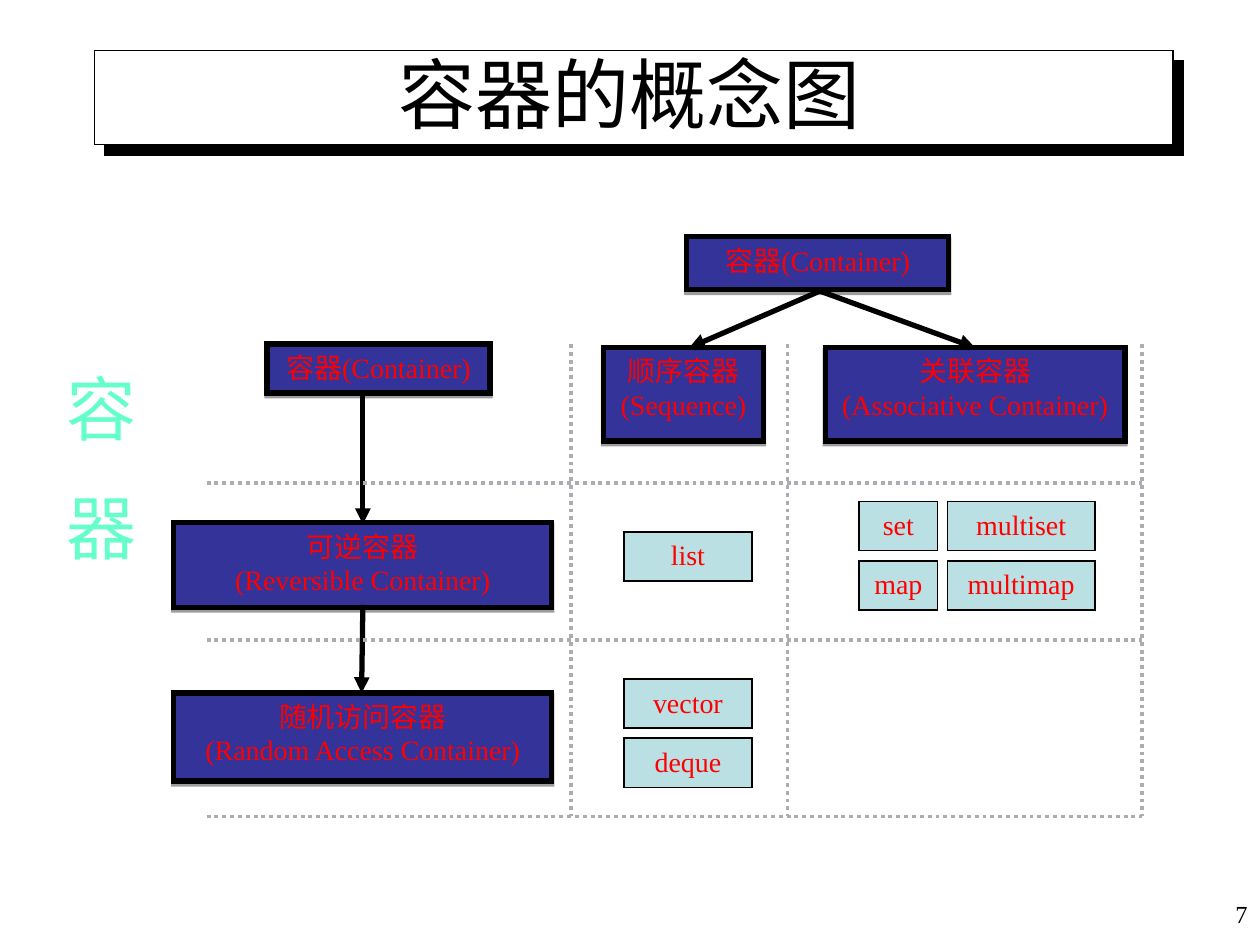
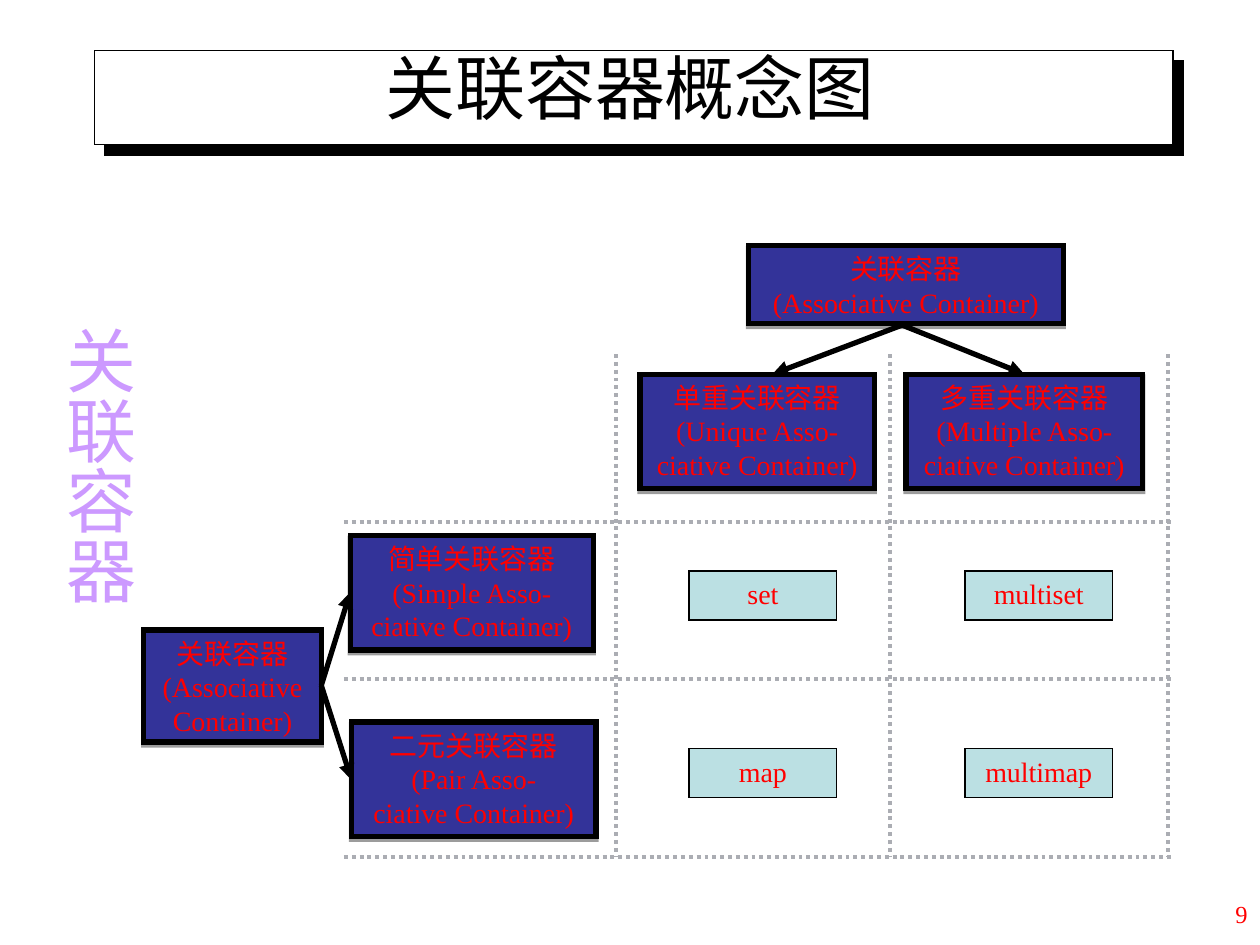
from dataclasses import dataclass
from typing import NamedTuple

from lxml import etree
from pptx import Presentation
from pptx import util as u
from pptx.dml.color import RGBColor
from pptx.enum import dml, shapes, text
from pptx.oxml import ns

COLORS = {
    "paper": "FFFFFF", "ink": "000000", "concept": "333399", "type": "BBE0E3",
    "label": "FF0000", "dots": "ABADB3", "mint": "66FFCC", "lilac": "CC99FF",
}
SERIF, SANS, CJK = "Times New Roman", "Arial", "Noto Sans CJK SC"
WIDTH, HEIGHT = u.Inches(10), u.Inches(7.5)
COLUMNS, ROWS = 100, 75
TITLE_ONLY = 5


class Box(NamedTuple):
    label: str
    left: float
    top: float
    width: float
    height: float = 3.9


class Arrow(NamedTuple):
    x1: float
    y1: float
    x2: float
    y2: float


@dataclass
class Diagram:
    title: str
    title_size: int
    title_height: float
    number: str
    number_color: str
    side: Box
    side_color: str
    concepts: list[Box]
    arrows: list[Arrow]
    types: list[Box]
    column_lines: list[float]
    row_lines: list[float]
    grid_left: float
    grid_top: float
    grid_right: float
    side_gap: float = 0


# Slide contents, in grid columns and rows
CONTAINERS = Diagram(
    title="容器的概念图", title_size=44, title_height=8.5,
    number="7", number_color="ink",
    side=Box("容 器", 3, 28.7, 8.7, 20), side_color="mint", side_gap=9.35,
    concepts=[
        Box("容器(Container)", 21.2, 27.3, 17.7, 3.9),
        Box("可逆容器\n(Reversible Container)", 13.8, 41.5, 30, 6.7),
        Box("随机访问容器\v(Random Access Container)", 13.8, 55, 30, 7),
        Box("容器(Container)", 54.5, 18.8, 20.8, 4.2),
        Box("顺序容器(Sequence)", 47.9, 27.6, 12.7, 7.4),
        Box("关联容器\v(Associative Container)", 65.5, 27.6, 23.8, 7.4),
    ],
    arrows=[
        Arrow(28.8, 31.3, 28.8, 41.6), Arrow(28.8, 48, 28.7, 55),
        Arrow(65.3, 23, 54.7, 27.6), Arrow(64.8, 23, 77.4, 27.6),
    ],
    types=[
        Box("list", 49.5, 42.2, 10.2),
        *(Box(name, 49.5, 53.9 + 4.7 * i, 10.2) for i, name in enumerate(("vector", "deque"))),
        *(Box(name, 68.2, 39.8 + 4.7 * i, 6.2) for i, name in enumerate(("set", "map"))),
        *(Box(name, 75.2, 39.8 + 4.7 * i, 11.7) for i, name in enumerate(("multiset", "multimap"))),
    ],
    column_lines=[45.3, 62.5, 90.6], row_lines=[38.3, 50.8, 64.8],
    grid_left=16.4, grid_top=27.3, grid_right=90.6,
)
ASSOCIATIVE = Diagram(
    title="关联容器概念图", title_size=40, title_height=7.7,
    number="9", number_color="label",
    side=Box("关联容器", 3, 24.9, 8.7, 28), side_color="lilac",
    concepts=[
        Box("关联容器\n(Associative Container)", 59.4, 19.5, 25, 6.2),
        Box("单重关联容器\n(Unique Asso-\vciative Container)", 50.8, 29.7, 18.6, 9.1),
        Box("多重关联容器\n(Multiple Asso-\vciative Container)", 71.9, 29.7, 18.8, 9.1),
        Box("关联容器\n(Associative Container)", 11.4, 50, 14.1, 8.9),
        Box("简单关联容器\n(Simple Asso-\vciative Container)", 27.8, 42.5, 19.3, 9.1),
        Box("二元关联容器\n(Pair Asso-\vciative Container)", 27.9, 57.3, 19.4, 9.1),
    ],
    arrows=[
        Arrow(71.6, 25.8, 61.3, 29.7), Arrow(71.6, 25.8, 81.3, 29.7),
        Arrow(25.5, 54.4, 27.8, 47), Arrow(25.5, 54.4, 27.9, 61.9),
    ],
    types=[
        Box(name, left, top, 11.7)
        for top, names in ((45.3, ("set", "multiset")), (59.4, ("map", "multimap")))
        for left, name in zip((54.7, 76.6), names)
    ],
    column_lines=[48.9, 70.6, 92.7], row_lines=[41.4, 53.9, 68],
    grid_left=27.3, grid_top=28.1, grid_right=93,
)


def x(columns: float) -> int:
    return round(WIDTH * columns / COLUMNS)


def y(rows: float) -> int:
    return round(HEIGHT * rows / ROWS)


def place(left: float, top: float, width: float, height: float) -> tuple[int, int, int, int]:
    return x(left), y(top), x(width), y(height)


def color(name: str) -> RGBColor:
    return RGBColor.from_string(COLORS[name])


def write(frame, content: str, *, size: float, ink: str, font: str = SERIF, asian: str = SANS,
          align=text.PP_ALIGN.CENTER, anchor=text.MSO_ANCHOR.TOP, spacing: float = 0) -> None:
    """Fill a frame: \\n starts a paragraph, \\v breaks a line; spacing widens all but the last letter."""
    frame.word_wrap = True
    frame.auto_size = text.MSO_AUTO_SIZE.NONE
    frame.vertical_anchor = anchor
    for index, line in enumerate(content.split("\n")):
        para = frame.paragraphs[0] if index == 0 else frame.add_paragraph()
        para.alignment = align
        for part_index, part in enumerate(line.split("\v")):
            if part_index:
                para.add_line_break()
            pieces = (part[:-1], part[-1]) if spacing else (part,)
            for piece_index, piece in enumerate(pieces):
                span = para.add_run()
                span.text = piece
                span.font.size = u.Pt(size)
                span.font.name = font
                span.font.bold = False
                span.font.color.rgb = color(ink)
                properties = span.font._element
                latin = properties.find(ns.qn("a:latin"))
                latin.addnext(etree.Element(ns.qn("a:ea"), typeface=asian))
                if spacing and piece_index == 0:
                    properties.set("spc", str(round(spacing * 100)))


def add_rect(page, left: float, top: float, width: float, height: float, *, fill: str,
             weight: float, shadow: tuple[float, int, int] | None = None):
    """Draw a sharp-cornered rectangle; shadow is distance in points, degrees and opacity."""
    shape = page.shapes.add_shape(shapes.MSO_SHAPE.RECTANGLE, *place(left, top, width, height))
    shape.fill.solid()
    shape.fill.fore_color.rgb = color(fill)
    shape.line.color.rgb = color("ink")
    shape.line.width = u.Pt(weight)
    etree.SubElement(shape.line._get_or_add_ln(), ns.qn("a:miter"), lim="800000")
    shape.shadow.inherit = False
    if shadow:
        distance, degrees, opacity = shadow
        effects = shape._element.spPr.find(ns.qn("a:effectLst"))
        outer = etree.SubElement(effects, ns.qn("a:outerShdw"), dist=str(u.Pt(distance)),
                                 dir=str(degrees * 60000), algn="ctr", rotWithShape="0")
        tint = etree.SubElement(outer, ns.qn("a:srgbClr"), val=COLORS["ink"])
        etree.SubElement(tint, ns.qn("a:alpha"), val=str(opacity * 1000))
    return shape


def add_line(page, ends: Arrow, *, ink: str, weight: float, dotted: bool = False) -> None:
    line = page.shapes.add_connector(shapes.MSO_CONNECTOR.STRAIGHT,
                                     x(ends.x1), y(ends.y1), x(ends.x2), y(ends.y2))
    line.line.color.rgb = color(ink)
    line.line.width = u.Pt(weight)
    if dotted:
        line.line.dash_style = dml.MSO_LINE.ROUND_DOT
    else:
        etree.SubElement(line.line._get_or_add_ln(), ns.qn("a:tailEnd"), type="triangle")
    etree.SubElement(line._element.spPr, ns.qn("a:effectLst"))


def add_title_band(deck, page) -> None:
    """Draw the title band and hand it to the layout, behind every title."""
    band = add_rect(page, 7.5, 4, 85.6, 7.5, fill="paper", weight=0.75, shadow=(8.5, 45, 100))
    deck.slide_layouts[TITLE_ONLY].shapes.element.insert(2, band._element)


def add_side_title(page, diagram: Diagram) -> None:
    """Write the vertical heading downwards from the top of its box."""
    box = page.shapes.add_textbox(*place(*diagram.side[1:]))
    frame = box.text_frame
    write(frame, diagram.side.label, size=40, ink=diagram.side_color, font=CJK, asian=CJK,
          align=text.PP_ALIGN.LEFT, spacing=diagram.side_gap)
    frame.margin_left = frame.margin_right = u.Inches(0.05)
    frame.margin_top = frame.margin_bottom = u.Inches(0.1)
    frame._txBody.bodyPr.set("vert", "eaVert")


def build_page(page, diagram: Diagram) -> None:
    # Title, page number and vertical heading
    title = page.shapes.title
    title.left, title.top, title.width, title.height = place(5, 3, 90, diagram.title_height)
    write(title.text_frame, diagram.title, size=diagram.title_size, ink="ink", font=SANS,
          anchor=text.MSO_ANCHOR.BOTTOM)
    number = page.shapes.add_textbox(*place(79.2, 70, 20.8, 5))
    write(number.text_frame, diagram.number, size=14, ink=diagram.number_color,
          align=text.PP_ALIGN.RIGHT, anchor=text.MSO_ANCHOR.MIDDLE)
    add_side_title(page, diagram)

    # Concepts and the arrows between them
    for concept in diagram.concepts:
        shape = add_rect(page, *concept[1:], fill="concept", weight=3, shadow=(1.6, 90, 38))
        write(shape.text_frame, concept.label, size=16, ink="label")
    for arrow in diagram.arrows:
        add_line(page, arrow, ink="ink", weight=3)

    # Dotted grid
    lines = [Arrow(diagram.grid_left, row, diagram.grid_right, row) for row in diagram.row_lines]
    lines += [Arrow(column, diagram.grid_top, column, diagram.row_lines[-1])
              for column in diagram.column_lines]
    for line in lines:
        add_line(page, line, ink="dots", weight=2.25, dotted=True)

    # Container types in the grid cells
    for kind in diagram.types:
        shape = add_rect(page, *kind[1:], fill="type", weight=1)
        write(shape.text_frame, kind.label, size=16, ink="label")


def main() -> None:
    deck = Presentation()
    deck.slide_width, deck.slide_height = WIDTH, HEIGHT
    for index, diagram in enumerate((CONTAINERS, ASSOCIATIVE)):
        page = deck.slides.add_slide(deck.slide_layouts[TITLE_ONLY])
        if index == 0:
            add_title_band(deck, page)
        build_page(page, diagram)
    deck.save("out.pptx")


if __name__ == "__main__":
    main()
